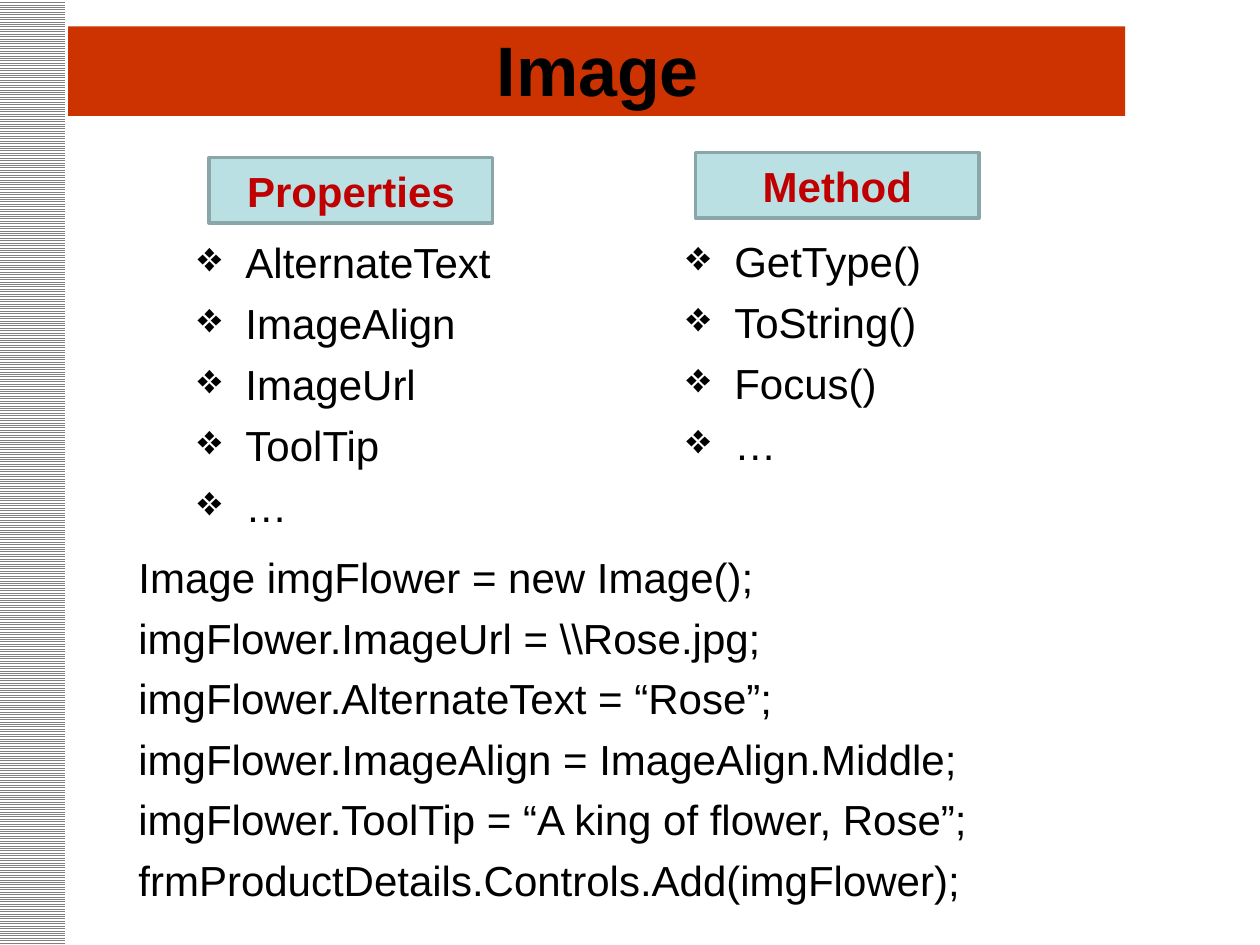
from lxml import etree
from pptx import Presentation
from pptx import util as u
from pptx.dml.color import RGBColor
from pptx.enum import dml, shapes, text
from pptx.oxml import ns

COLORS = {
    "banner": "CC3300",
    "stripe": "808080",
    "paper": "FFFFFF",
    "ink": "000000",
    "label": "BBE0E3",
    "label_edge": "8AA6A8",
    "label_text": "C00000",
}
PROPERTIES = ["AlternateText", "ImageAlign", "ImageUrl", "ToolTip", "…"]
METHODS = ["GetType()", "ToString()", "Focus()", "…"]
CODE = [
    "Image imgFlower = new Image();",
    r"imgFlower.ImageUrl = \\Rose.jpg;",
    "imgFlower.AlternateText = “Rose”;",
    "imgFlower.ImageAlign = ImageAlign.Middle;",
    "imgFlower.ToolTip = “A king of flower, Rose”;",
    "frmProductDetails.Controls.Add(imgFlower);",
]


def color(name):
    return RGBColor.from_string(COLORS[name])


def add_span(para, words, size=24, ink="ink", bold=False):
    span = para.add_run()
    span.text = words
    span.font.name = "Arial"
    span.font.size = u.Pt(size)
    span.font.bold = bold
    span.font.color.rgb = color(ink)


def add_rectangle(page, left, top, width, height):
    box = page.shapes.add_shape(
        shapes.MSO_SHAPE.RECTANGLE,
        u.Inches(left), u.Inches(top), u.Inches(width), u.Inches(height))
    box.shadow.inherit = False
    box.line.fill.background()
    return box


def add_banner(page):
    banner = add_rectangle(page, 0.54, 0.21, 8.39, 0.71)
    banner.fill.solid()
    banner.fill.fore_color.rgb = color("banner")


def add_striped_edge(page):
    edge = add_rectangle(page, -0.01, 0, 0.53, 7.5)
    edge.fill.patterned()
    edge.fill.pattern = dml.MSO_PATTERN.LIGHT_HORIZONTAL
    edge.fill.fore_color.rgb = color("stripe")
    edge.fill.back_color.rgb = color("paper")


def add_text_frame(page, left, top, width, height):
    box = page.shapes.add_textbox(
        u.Inches(left), u.Inches(top), u.Inches(width), u.Inches(height))
    box.text_frame.word_wrap = True
    return box.text_frame


def add_paragraphs(frame, lines):
    for index, line in enumerate(lines):
        para = frame.add_paragraph() if index else frame.paragraphs[0]
        add_span(para, line)
    return frame.paragraphs


def add_title(page, words):
    frame = add_text_frame(page, 0.58, 0.17, 8.33, 0.75)
    frame.vertical_anchor = text.MSO_ANCHOR.MIDDLE
    para = frame.paragraphs[0]
    para.alignment = text.PP_ALIGN.CENTER
    add_span(para, words, size=40, bold=True)


def add_label(page, left, top, words):
    box = add_rectangle(page, left, top, 2.25, 0.52)
    box.fill.solid()
    box.fill.fore_color.rgb = color("label")
    box.line.color.rgb = color("label_edge")
    box.line.width = u.Pt(2)
    box.text_frame.vertical_anchor = text.MSO_ANCHOR.MIDDLE
    para = box.text_frame.paragraphs[0]
    para.alignment = text.PP_ALIGN.CENTER
    add_span(para, words, ink="label_text", bold=True)


def add_bullet(para):
    indent = u.Inches(0.38)
    properties = para._p.get_or_add_pPr()
    properties.set("marL", str(indent))
    properties.set("indent", str(-indent))
    bullet = etree.SubElement(properties, ns.qn("a:buChar"))
    bullet.set("char", "❖")


def add_bullet_list(page, left, top, items):
    frame = add_text_frame(page, left, top, 3.23, 2.42)
    for index, para in enumerate(add_paragraphs(frame, items)):
        add_bullet(para)
        if index:
            para.space_before = u.Pt(6)


def add_code(page, lines):
    frame = add_text_frame(page, 1, 4.25, 8.25, 3.09)
    for para in add_paragraphs(frame, lines):
        para.alignment = text.PP_ALIGN.JUSTIFY
        para.line_spacing = 1.2


def main():
    deck = Presentation()
    deck.slide_width = u.Inches(10)
    deck.slide_height = u.Inches(7.5)
    page = deck.slides.add_slide(deck.slide_layouts[6])
    add_banner(page)
    add_striped_edge(page)
    add_title(page, "Image")
    add_bullet_list(page, 1.47, 1.83, PROPERTIES)
    add_label(page, 1.66, 1.25, "Properties")
    add_label(page, 5.52, 1.21, "Method")
    add_bullet_list(page, 5.35, 1.82, METHODS)
    add_code(page, CODE)
    deck.save("out.pptx")


if __name__ == "__main__":
    main()
